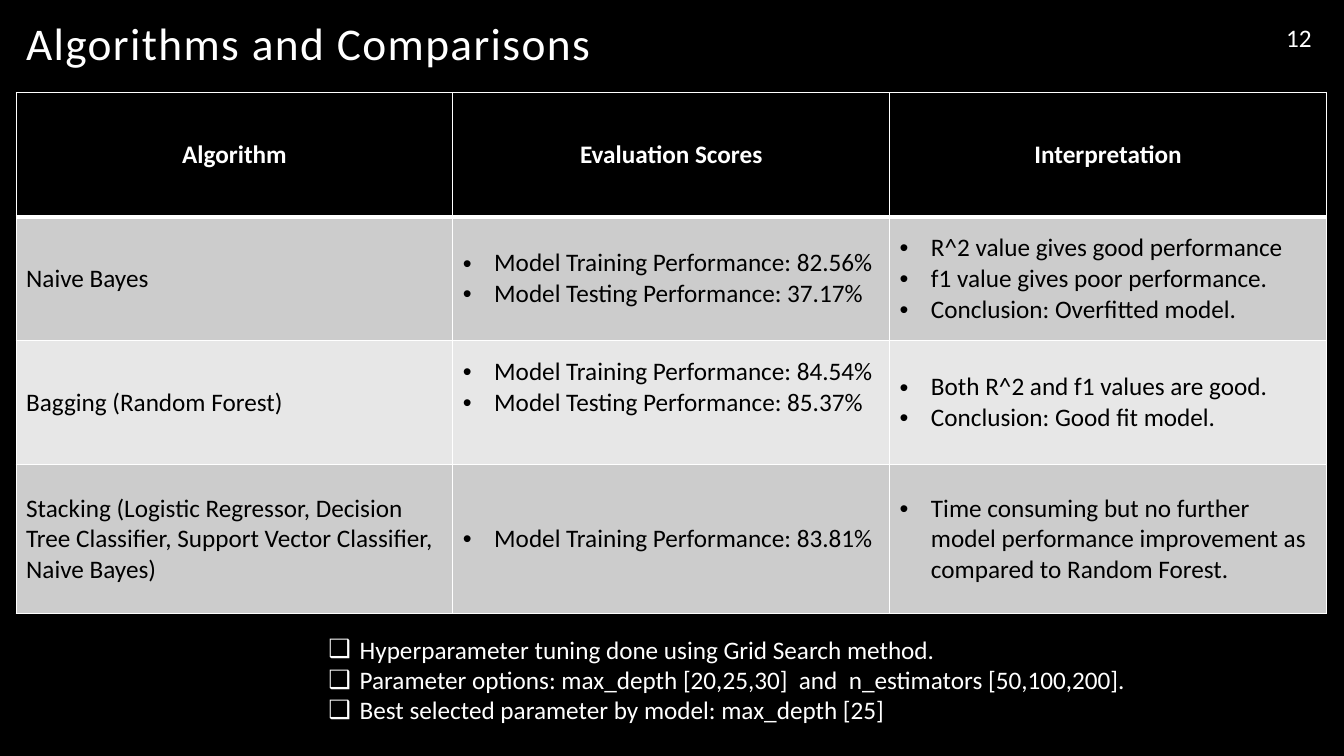
import lxml.etree
import pptx
import pptx.dml.color
import pptx.enum.text
import pptx.oxml.ns
import pptx.util

BLACK = pptx.dml.color.RGBColor(0x00, 0x00, 0x00)
WHITE = pptx.dml.color.RGBColor(0xFF, 0xFF, 0xFF)
DARK_BAND = pptx.dml.color.RGBColor(0xCC, 0xCC, 0xCC)
LIGHT_BAND = pptx.dml.color.RGBColor(0xE7, 0xE7, 0xE7)

ALIGN = pptx.enum.text.PP_ALIGN
ANCHOR = pptx.enum.text.MSO_ANCHOR
GRID_COLUMNS, GRID_ROWS = 80, 45
BULLET_INDENT = pptx.util.Inches(0.31)

HEADINGS = ["Algorithm", "Evaluation Scores", "Interpretation"]
ALGORITHMS = [
    ("Naive Bayes",
     ["Model Training Performance: 82.56%", "Model Testing Performance: 37.17%"],
     ["R^2 value gives good performance", "f1 value gives poor performance.",
      "Conclusion: Overfitted model."]),
    ("Bagging (Random Forest)",
     ["Model Training Performance: 84.54%", "Model Testing Performance: 85.37%"],
     ["Both R^2 and f1 values are good.", "Conclusion: Good fit model."]),
    ("Stacking (Logistic Regressor, Decision Tree Classifier, "
     "Support Vector Classifier, Naive Bayes)",
     ["Model Training Performance: 83.81%"],
     ["Time consuming but no further model performance improvement "
      "as compared to Random Forest."]),
]
TUNING_NOTES = [
    "Hyperparameter tuning done using Grid Search method.",
    "Parameter options: max_depth [20,25,30]  and  n_estimators [50,100,200].",
    "Best selected parameter by model: max_depth [25]",
]


def add_child(parent, tag, **attributes):
    child = lxml.etree.SubElement(parent, pptx.oxml.ns.qn(tag))
    for name, value in attributes.items():
        child.set(name, str(value))
    return child


def write_text(text_frame, text, font="Calibri", size=18, color=WHITE, bold=False,
               align=ALIGN.LEFT, bullet=None, line_spacing=None, tracking=None):
    """Fill a frame with one string, or with one paragraph per list item."""
    lines = [text] if isinstance(text, str) else text
    for index, line in enumerate(lines):
        paragraph = text_frame.paragraphs[0] if index == 0 else text_frame.add_paragraph()
        paragraph.alignment = align
        if line_spacing:
            paragraph.line_spacing = line_spacing
        if bullet:
            properties = paragraph._p.get_or_add_pPr()
            properties.set("marL", str(BULLET_INDENT))
            properties.set("indent", str(-BULLET_INDENT))
            add_child(properties, "a:buFont", typeface="Arial")
            add_child(properties, "a:buChar", char=bullet)
        run = paragraph.add_run()
        run.text = line
        run.font.name = font
        run.font.size = pptx.util.Pt(size)
        run.font.bold = bold
        run.font.color.rgb = color
        if tracking:
            run._r.get_or_add_rPr().set("spc", str(round(tracking * 100)))


def set_borders(cell, bottom_width=1):
    properties = cell._tc.get_or_add_tcPr()
    widths = {"a:lnL": 1, "a:lnR": 1, "a:lnT": 1, "a:lnB": bottom_width}
    for tag, width in widths.items():
        line = add_child(properties, tag, w=pptx.util.Pt(width))
        add_child(add_child(line, "a:solidFill"), "a:srgbClr", val=WHITE)


class SlideBuilder:
    """Places elements on a slide by grid columns and rows."""

    def __init__(self, presentation, background):
        self.column = presentation.slide_width / GRID_COLUMNS
        self.row = presentation.slide_height / GRID_ROWS
        self.slide = presentation.slides.add_slide(presentation.slide_layouts[6])
        fill = self.slide.background.fill
        fill.solid()
        fill.fore_color.rgb = background

    def place(self, left, top, width, height):
        return (round(left * self.column), round(top * self.row),
                round(width * self.column), round(height * self.row))

    def text(self, position, text, anchor=ANCHOR.TOP, **text_format):
        shape = self.slide.shapes.add_textbox(*self.place(*position))
        shape.text_frame.word_wrap = True
        shape.text_frame.vertical_anchor = anchor
        write_text(shape.text_frame, text, **text_format)

    def table(self, left, top, width, row_heights, column_count):
        position = self.place(left, top, width, sum(row_heights))
        shape = self.slide.shapes.add_table(len(row_heights), column_count, *position)
        for table_row, height in zip(shape.table.rows, row_heights):
            table_row.height = round(height * self.row)
        return shape.table

    def cell(self, cell, text, fill, bottom_width=1, **text_format):
        set_borders(cell, bottom_width)
        cell.fill.solid()
        cell.fill.fore_color.rgb = fill
        cell.vertical_anchor = ANCHOR.MIDDLE
        write_text(cell.text_frame, text, **text_format)


def main():
    presentation = pptx.Presentation()
    presentation.slide_width = pptx.util.Inches(13.33)
    presentation.slide_height = pptx.util.Inches(7.5)
    builder = SlideBuilder(presentation, BLACK)

    table = builder.table(0.96, 5.52, 78, [7.38, 7.38, 7.38, 8.88], len(HEADINGS))
    for column, heading in enumerate(HEADINGS):
        builder.cell(table.cell(0, column), heading, BLACK, bottom_width=3,
                     bold=True, align=ALIGN.CENTER)
    for row, entries in enumerate(ALGORITHMS, start=1):
        band = DARK_BAND if row % 2 else LIGHT_BAND
        for column, entry in enumerate(entries):
            builder.cell(table.cell(row, column), entry, band, color=BLACK,
                         bullet="•" if column else None)
    # The bagging scores sit half a line above the middle.
    table.cell(2, 1).margin_bottom = pptx.util.Inches(0.35)

    builder.text((0.96, 1.5, 60, 3), "Algorithms and Comparisons", anchor=ANCHOR.BOTTOM,
                 size=32.4, line_spacing=0.9, tracking=1)
    builder.text((18.96, 37.44, 58, 6.06), TUNING_NOTES, bullet="❑")
    builder.text((75.96, 1.02, 3, 2.4), "12")
    presentation.save("out.pptx")


if __name__ == "__main__":
    main()
